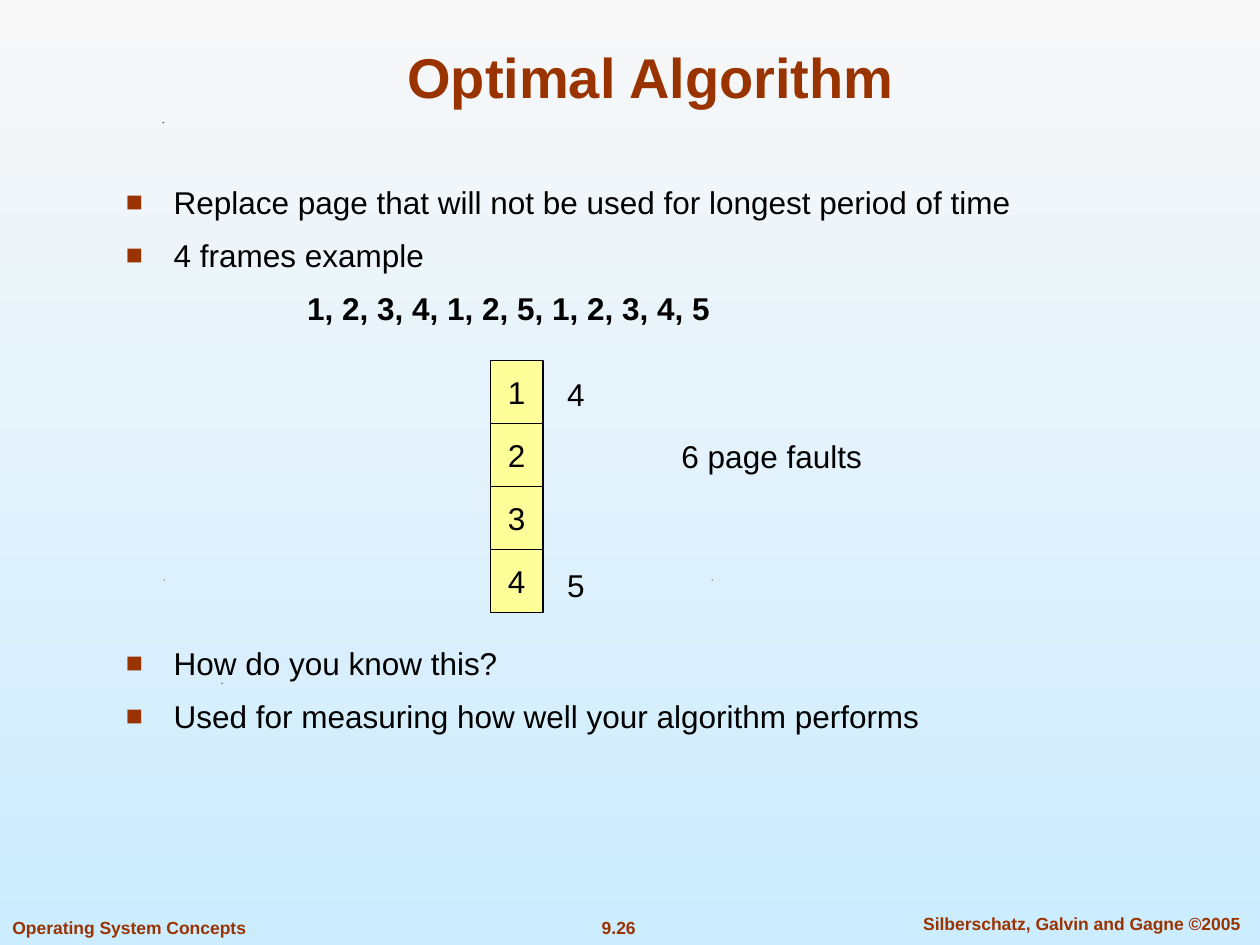
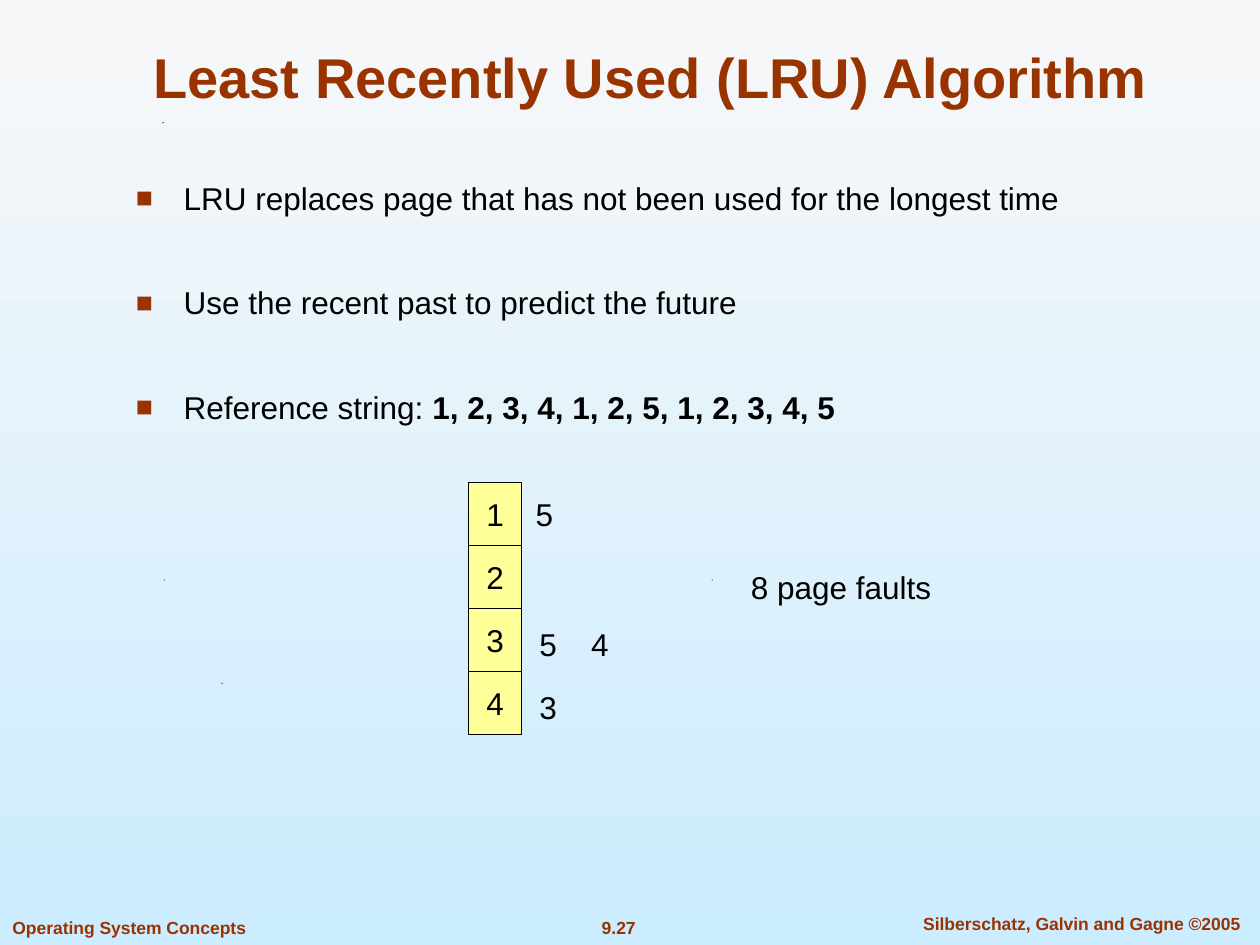
from dataclasses import dataclass
from lxml.etree import SubElement
from pptx import Presentation
from pptx.dml.color import RGBColor
from pptx.enum.shapes import MSO_SHAPE
from pptx.enum.text import MSO_ANCHOR, PP_ALIGN
from pptx.oxml.ns import qn
from pptx.util import Inches, Pt


@dataclass(frozen=True)
class Theme:
    font: str = "Arial"
    rust: str = "993300"
    ink: str = "000000"
    cell: str = "FFFF99"
    sky: tuple = ("F8F8F8", "CCECFF")
    head: int = 32
    text: int = 18
    foot: int = 10
    gap: float = 8.7
    hang: float = 0.38


T = Theme()
STRING = "1, 2, 3, 4, 1, 2, 5, 1, 2, 3, 4, 5"
SPECKS = ((1.76, 5.42), (1.3, 4.6), (5.65, 4.6), (1.29, 0.97))


def rgb(code):
    return RGBColor.from_string(code)


def add_run(para, words, size=T.text, color=T.ink, bold=False):
    run = para.add_run()
    run.text = words
    font = run.font
    font.name, font.size, font.bold = T.font, Pt(size), bold
    font.color.rgb = rgb(color)


def add_label(slide, box, words, align=PP_ALIGN.CENTER,
              anchor=MSO_ANCHOR.MIDDLE, wrap=False, **style):
    frame = slide.shapes.add_textbox(*map(Inches, box)).text_frame
    frame.word_wrap, frame.vertical_anchor = wrap, anchor
    para = frame.paragraphs[0]
    para.alignment = align
    add_run(para, words, **style)


def set_indent(para, left, first=0):
    props = para._p.get_or_add_pPr()
    props.set("marL", str(Inches(left)))
    props.set("indent", str(Inches(first)))
    return props


def add_bullet(para):
    props = set_indent(para, T.hang, -T.hang)
    color = SubElement(props, qn("a:buClr"))
    SubElement(color, qn("a:srgbClr"), val=T.rust)
    SubElement(props, qn("a:buSzPct"), val="90000")
    SubElement(props, qn("a:buFont"), typeface=T.font)
    SubElement(props, qn("a:buChar"), char="■")


def add_body(slide, box, lines):
    frame = slide.shapes.add_textbox(*map(Inches, box)).text_frame
    frame.word_wrap = True
    for row, (left, space, runs) in enumerate(lines):
        para = frame.paragraphs[0] if row == 0 else frame.add_paragraph()
        if row:
            para.space_before = Pt(space)
        if left:
            set_indent(para, left)
        else:
            add_bullet(para)
        for words, bold in runs:
            add_run(para, words, bold=bold)


def add_frames(slide, box, marks, faults):
    left, top, width, height = box
    for row in range(4):
        cell = slide.shapes.add_shape(
            MSO_SHAPE.RECTANGLE, Inches(left), Inches(top + row * height),
            Inches(width), Inches(height))
        cell.shadow.inherit = False
        cell.fill.solid()
        cell.fill.fore_color.rgb = rgb(T.cell)
        cell.line.color.rgb = rgb(T.ink)
        cell.line.width = Pt(0.75)
        frame = cell.text_frame
        frame.word_wrap, frame.vertical_anchor = False, MSO_ANCHOR.MIDDLE
        para = frame.paragraphs[0]
        para.alignment = PP_ALIGN.CENTER
        add_run(para, str(row + 1))
    for x, y, page in marks:
        add_label(slide, (left + x, top + y, 0.34, 0.4), page)
    x, y, words = faults
    add_label(slide, (left + x, top + y, 1.63, 0.4), words)


def add_specks(slide):
    for x, y in SPECKS:
        pen = slide.shapes.build_freeform(Inches(x), Inches(y + 0.01))
        pen.add_line_segments([(Inches(x), Inches(y)),
                               (Inches(x + 0.01), Inches(y))])
        dot = pen.convert_to_shape()
        dot.shadow.inherit = False
        dot.fill.solid()
        dot.fill.fore_color.rgb = rgb(T.ink)
        dot.line.fill.background()


def add_foot(slide, number):
    style = dict(anchor=MSO_ANCHOR.TOP, size=T.foot, color=T.rust, bold=True)
    add_label(slide, (4.42, 7.23, 0.98, 0.27), number, **style)
    add_label(slide, (7.1, 7.2, 2.97, 0.27),
              "Silberschatz, Galvin and Gagne ©2005", wrap=True, **style)
    add_label(slide, (0, 7.23, 2.05, 0.27), "Operating System Concepts",
              align=PP_ALIGN.LEFT, **style)


def start_slide(deck, title, number):
    slide = deck.slides.add_slide(deck.slide_layouts[6])
    fill = slide.background.fill
    fill.gradient()
    fill.gradient_angle = 270
    for stop, color in zip(fill.gradient_stops, T.sky):
        stop.color.rgb = rgb(color)
    add_specks(slide)
    add_foot(slide, number)
    add_label(slide, (0.75, 0.25, 8.83, 0.67), title, wrap=True,
              anchor=MSO_ANCHOR.BOTTOM, size=T.head, color=T.rust, bold=True)
    return slide


def build_best(deck):
    slide = start_slide(deck, "Optimal Algorithm", "9.26")
    add_body(slide, (0.9, 1.4, 8.04, 4.9), [
        (0, 0, [("Replace page that will not be used for longest "
                 "period of time", False)]),
        (0, T.gap, [("4 frames example", False)]),
        (1.44, T.gap, [(STRING, True)]),
        (0, 181.6, [("How do you know this?", False)]),
        (0, T.gap, [("Used for measuring how well your algorithm performs",
                     False)]),
    ])
    add_frames(slide, (3.89, 2.86, 0.42, 0.5),
               [(0.51, 0.07, "4"), (0.51, 1.58, "5")],
               (1.42, 0.56, "6 page faults"))


def build_lru(deck):
    slide = start_slide(deck, "Least Recently Used (LRU) Algorithm", "9.27")
    wide = 38.2
    add_body(slide, (0.98, 1.37, 8.04, 4.9), [
        (0, 0, [("LRU replaces page that has not been used for the "
                 "longest time", False)]),
        (0, wide, [("Use the recent past to predict the future", False)]),
        (0, wide, [("Reference string: ", False), (STRING, True)]),
    ])
    add_frames(slide, (3.72, 3.83, 0.42, 0.5),
               [(0.43, 0.05, "5"), (0.46, 1.08, "5"),
                (0.87, 1.08, "4"), (0.46, 1.58, "3")],
               (2.14, 0.63, "8 page faults"))


def main():
    deck = Presentation()
    deck.slide_width, deck.slide_height = Inches(10), Inches(7.5)
    build_best(deck)
    build_lru(deck)
    deck.save("out.pptx")


if __name__ == "__main__":
    main()
